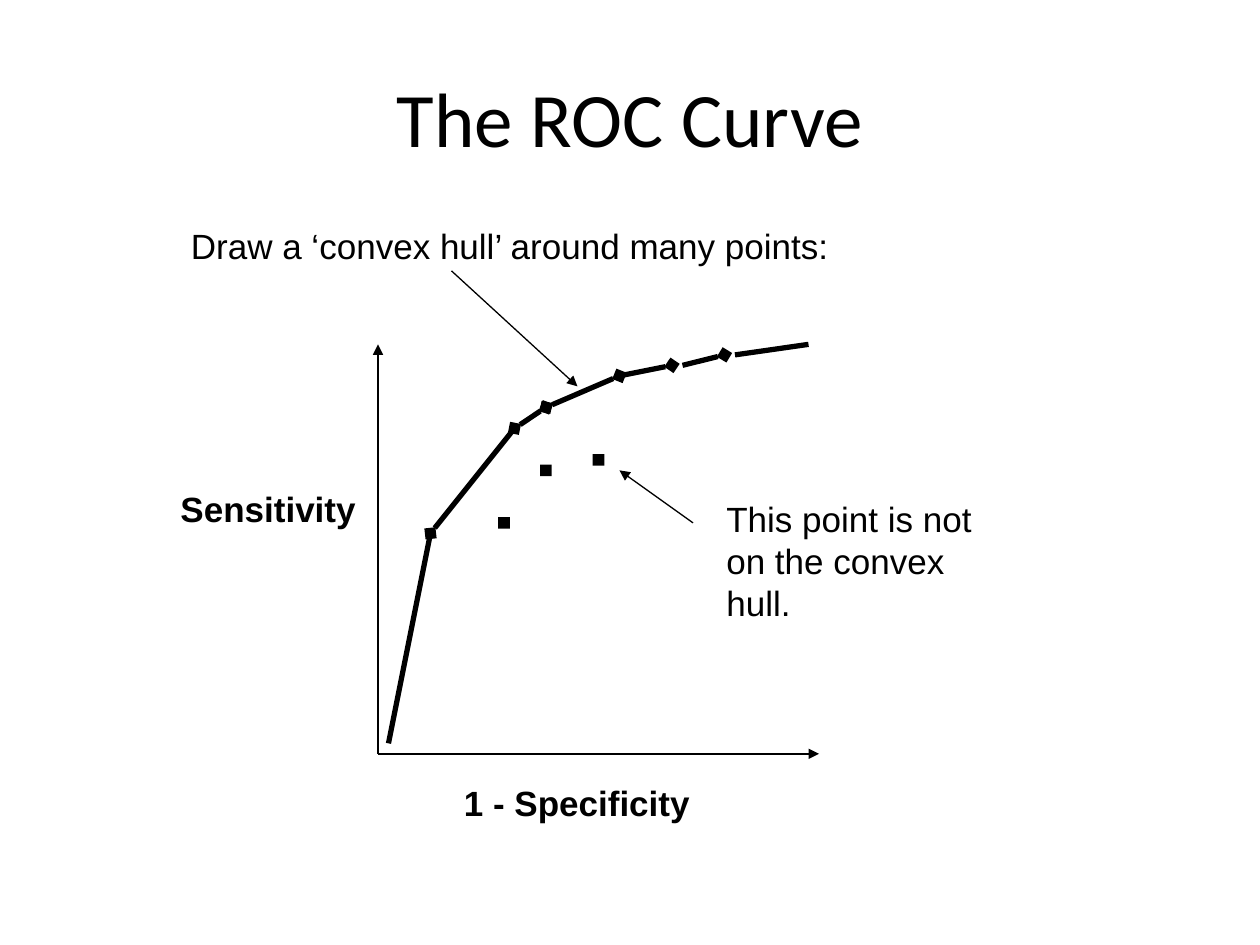
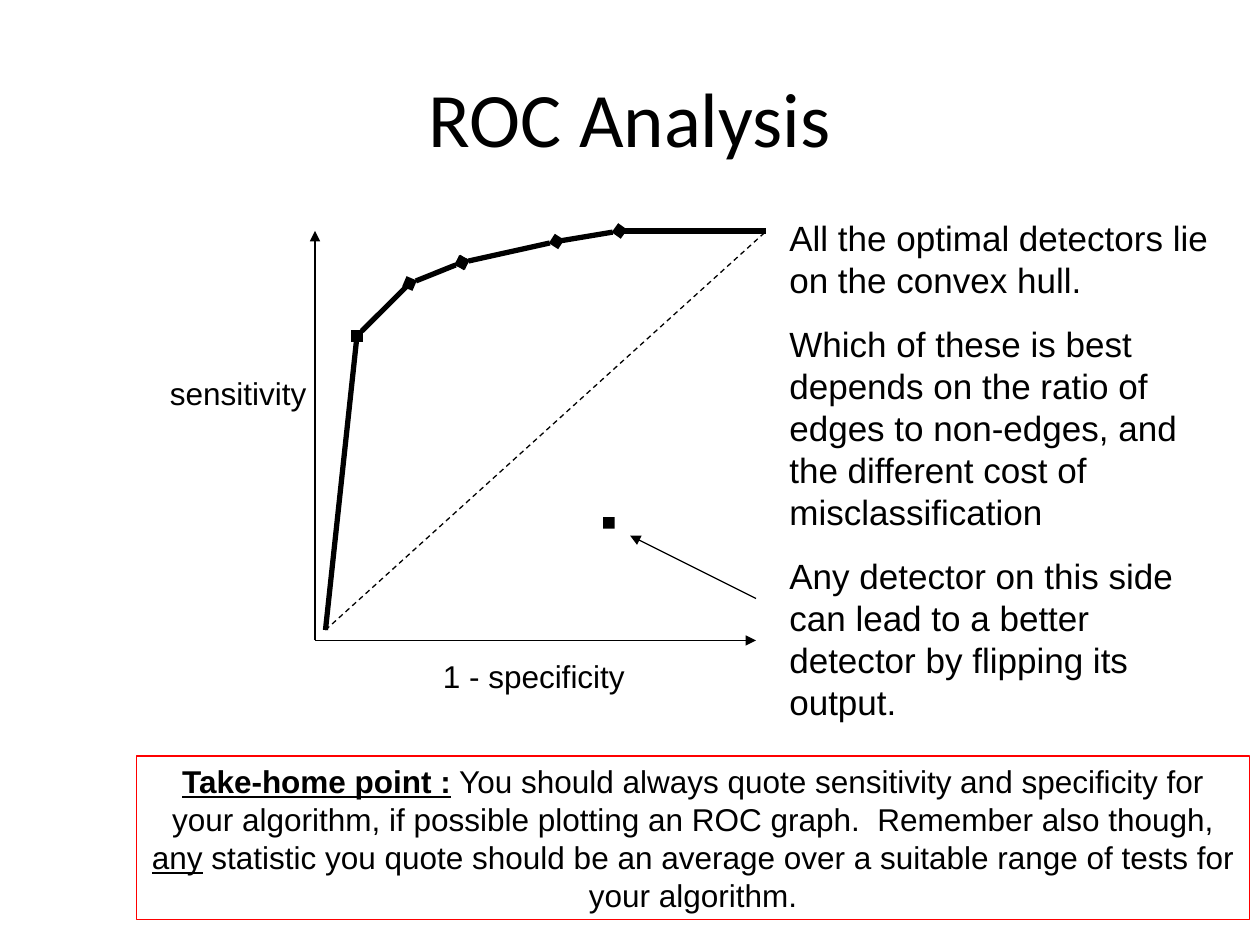
from dataclasses import dataclass
from itertools import pairwise

from lxml.etree import SubElement
from pptx import Presentation
from pptx.dml.color import RGBColor
from pptx.enum.dml import MSO_LINE
from pptx.enum.shapes import MSO_CONNECTOR, MSO_SHAPE
from pptx.enum.text import MSO_ANCHOR, MSO_AUTO_SIZE, PP_ALIGN
from pptx.oxml.ns import qn
from pptx.slide import Slide
from pptx.util import Inches, Pt

COLORS = {"ink": "000000", "alert": "FF0000"}
CELL = 1 / 12  # inches: the slide is 120 columns by 90 rows
THIN, THICK = 0.75, 3
AXIS_WIDTH, AXIS_HEIGHT = 42, 39
DETECTOR_SIZE = 1.1


def cells(*counts):
    return [Inches(count * CELL) for count in counts]


def color(name):
    return RGBColor.from_string(COLORS[name])


def write(frame, paragraphs, size=20, font="Arial", bold=False,
          align=PP_ALIGN.LEFT, anchor=MSO_ANCHOR.TOP, space=0.625):
    """Fill a frame; a paragraph is a string or a list of (text, styles) runs.

    Styles are letters: b for bold, u for underlined. Space is a share of size.
    """
    frame.word_wrap = True
    frame.vertical_anchor = anchor
    for index, content in enumerate(paragraphs):
        paragraph = frame.paragraphs[0] if index == 0 else frame.add_paragraph()
        paragraph.alignment = align
        paragraph.space_before = Pt(size * space)
        for text, styles in [(content, "")] if isinstance(content, str) else content:
            run = paragraph.add_run()
            run.text = text
            run.font.name = font
            run.font.size = Pt(size)
            run.font.bold = bold or "b" in styles
            run.font.underline = "u" in styles
            run.font.color.rgb = color("ink")


def add_titled_slide(deck, title):
    slide = deck.slides.add_slide(deck.slide_layouts[5])
    heading = slide.shapes.title
    heading.left, heading.top, heading.width, heading.height = cells(6, 3.6, 108, 15)
    write(heading.text_frame, [title], size=44, font="Calibri", space=0,
          align=PP_ALIGN.CENTER, anchor=MSO_ANCHOR.MIDDLE)
    return slide


def add_text(slide, area, *paragraphs, **style):
    frame = slide.shapes.add_textbox(*cells(*area)).text_frame
    write(frame, paragraphs, **style)
    frame.auto_size = MSO_AUTO_SIZE.SHAPE_TO_FIT_TEXT


def add_rectangle(slide, area, fill=None, outline=None):
    rectangle = slide.shapes.add_shape(MSO_SHAPE.RECTANGLE, *cells(*area))
    rectangle.shadow.inherit = False
    for paint, name in ((rectangle.fill, fill), (rectangle.line.fill, outline)):
        if name:
            paint.solid()
            paint.fore_color.rgb = color(name)
        else:
            paint.background()
    if outline:
        rectangle.line.width = Pt(THIN)
    return rectangle


def add_framed_text(slide, area, *paragraphs, **style):
    panel = add_rectangle(slide, area, outline="alert")
    write(panel.text_frame, paragraphs, **style)


@dataclass
class RocPlot:
    """A plot whose points are (columns right, rows up) from its origin."""
    slide: Slide
    column: float
    row: float

    def line(self, start, end, width=THIN, head=None, tail=None, dashed=False):
        ends = [cells(self.column + x, self.row - y) for x, y in (start, end)]
        connector = self.slide.shapes.add_connector(
            MSO_CONNECTOR.STRAIGHT, *ends[0], *ends[1])
        connector.line.color.rgb = color("ink")
        connector.line.width = Pt(width)
        if dashed:
            connector.line.dash_style = MSO_LINE.DASH
        properties = connector.element.spPr
        outline = properties.find(qn("a:ln"))
        for tag, kind in (("a:headEnd", head), ("a:tailEnd", tail)):
            if kind:
                SubElement(outline, qn(tag), type=kind)
        SubElement(properties, qn("a:effectLst"))

    def arrow(self, start, end):
        self.line(start, end, tail="triangle")

    def axes(self):
        self.arrow((0, 0), (0, AXIS_HEIGHT))
        self.arrow((0, 0), (AXIS_WIDTH, 0))

    def detector(self, point):
        """Mark a detector off the hull with a square centred on its point."""
        x, y = point
        add_rectangle(self.slide,
                      (self.column + x - DETECTOR_SIZE / 2,
                       self.row - y - DETECTOR_SIZE / 2,
                       DETECTOR_SIZE, DETECTOR_SIZE), fill="ink")

    def hull(self, *runs):
        """Join the points of each run, marking the detectors between the ends."""
        segments = [segment for run in runs for segment in pairwise(run)]
        for index, (start, end) in enumerate(segments):
            self.line(start, end, THICK,
                      head="diamond" if 1 <= index <= 3 else None,
                      tail="diamond" if 2 <= index < len(segments) - 1 else None)


def build_curve(deck):
    slide = add_titled_slide(deck, "The ROC Curve")
    add_text(slide, (17, 20.8, 102, 5.3), "Draw a ‘convex hull’ around many points:")
    add_text(slide, (43, 73.8, 31, 5.3), "1 - Specificity", bold=True)
    add_text(slide, (16, 45.8, 21, 5.3), "Sensitivity", bold=True)
    add_text(slide, (68, 46.8, 29, 13.2), "This point is not on the convex hull.")

    plot = RocPlot(slide, 36, 71.8)
    plot.axes()
    plot.hull([(1, 1), (5, 21), (13, 31), (16, 33), (23, 36), (28, 37)],
              [(29, 37), (33, 38)],
              [(34, 38), (41, 39)])
    for inner_point in ((16, 27), (21, 28), (12, 22)):
        plot.detector(inner_point)
    plot.arrow((30, 22), (23, 27))
    plot.arrow((7, 46), (19, 35))


def build_analysis(deck):
    slide = add_titled_slide(deck, "ROC Analysis")
    add_text(slide, (41, 62, 23, 4.8), "1 - specificity", size=18)
    add_text(slide, (15, 35, 19, 4.8), "sensitivity", size=18)
    add_text(
        slide, (74, 20, 43, 49.4),
        "All the optimal detectors lie on the convex hull.",
        "Which of these is best depends on the ratio of edges to non-edges, and "
        "the different cost of misclassification",
        "Any detector on this side can lead to a better detector by flipping its "
        "output.")

    plot = RocPlot(slide, 30, 61)
    chance_start, chance_end = (1, 1), (43, 39)
    plot.axes()
    plot.hull([chance_start, (4, 29), (9, 34), (14, 36), (23, 38), (29, 39),
               chance_end])
    plot.line(chance_start, chance_end, dashed=True)
    plot.detector((28, 11.2))
    plot.arrow((42, 4), (30, 10))

    add_framed_text(
        slide, (13, 72, 106, 15.6),
        [("Take-home point :", "bu"),
         (" You should always quote sensitivity and specificity for your algorithm, "
          "if possible plotting an ROC graph.  Remember also though, ", ""),
         ("any", "u"),
         (" statistic you quote should be an average over a suitable range of tests "
          "for your algorithm.", "")],
        size=18, align=PP_ALIGN.CENTER, space=0)


def main():
    deck = Presentation()
    deck.slide_width, deck.slide_height = cells(120, 90)
    build_curve(deck)
    build_analysis(deck)
    deck.save("out.pptx")


if __name__ == "__main__":
    main()
